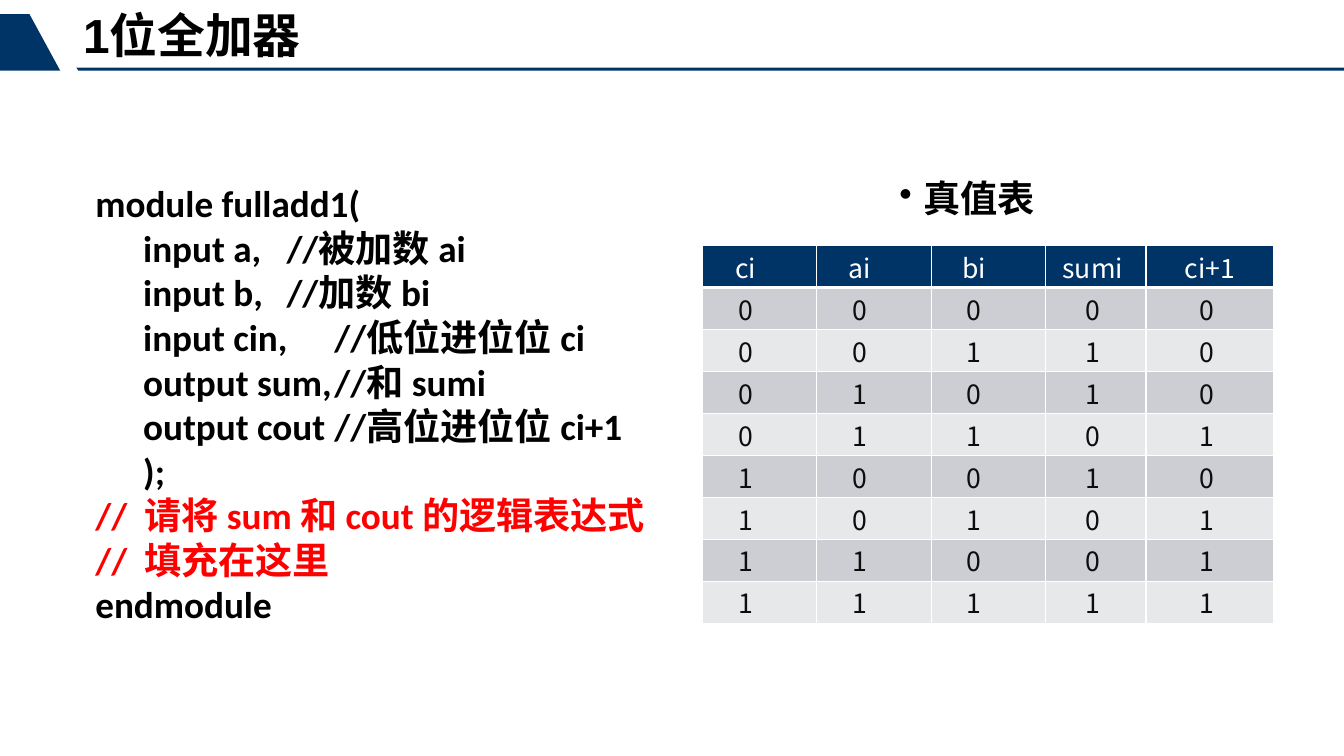
import itertools
from collections import namedtuple

import pptx
import pptx.util
import pptx.dml.color
import pptx.enum.text
import pptx.oxml
import pptx.oxml.ns

NAVY, WHITE, BLACK, RED = "003366", "FFFFFF", "000000", "FF0000"
BANDS = ("CCCED3", "E7E8EA")
CELL_INK = "0D0D0D"
ALIGN = pptx.enum.text.PP_ALIGN

Box = namedtuple("Box", "x y w h")


def part(box, x, y, w, h):
    """Part of a box, given in percent of that box."""
    return Box(round(box.x + box.w * x / 100), round(box.y + box.h * y / 100),
               round(box.w * w / 100), round(box.h * h / 100))


def color(hex_code):
    return pptx.dml.color.RGBColor.from_string(hex_code)


def write(paragraph, text, font="Arial", size=28, ink=BLACK, bold=True,
          align=ALIGN.LEFT, spacing=None, before=None):
    run = paragraph.add_run()
    run.text = text
    run.font.name, run.font.size = font, pptx.util.Pt(size)
    run.font.bold, run.font.color.rgb = bold, color(ink)
    paragraph.alignment = align
    if spacing is not None:
        paragraph.line_spacing = spacing
    if before is not None:
        paragraph.space_before = pptx.util.Pt(before)


def text_frame(slide, box):
    frame = slide.shapes.add_textbox(*box).text_frame
    frame.word_wrap = True
    return frame


def outline(slide, box, corners):
    """Filled polygon with corners in percent of the box."""
    points = [part(box, x, y, 0, 0)[:2] for x, y in corners]
    builder = slide.shapes.build_freeform(*points[0], scale=1.0)
    builder.add_line_segments(points[1:], close=True)
    shape = builder.convert_to_shape()
    shape.shadow.inherit = False
    shape.fill.solid()
    shape.fill.fore_color.rgb = color(NAVY)
    shape.line.fill.background()


def set_indent(paragraph, left, first=0, right=0):
    properties = paragraph._p.get_or_add_pPr()
    for key, inches in (("marL", left), ("indent", first), ("marR", right)):
        properties.set(key, str(pptx.util.Inches(inches)))
    return properties


def add_border(cell, side, points):
    cell._tc.get_or_add_tcPr().append(pptx.oxml.parse_xml(
        f'<a:ln{side} {pptx.oxml.ns.nsdecls("a")} w="{pptx.util.Pt(points)}">'
        f'<a:solidFill><a:srgbClr val="{WHITE}"/></a:solidFill></a:ln{side}>'))


def header(slide, box, title):
    # Rule and slanted tab
    outline(slide, box, [(5.69, 50.4), (100, 50.4), (100, 52.8), (5.83, 52.8)])
    outline(slide, box, [(2.2, 5.6), (4.48, 52.8), (0, 52.8), (0, 5.6)])
    # Title
    frame = text_frame(slide, part(box, 5.48, 0, 64, 100))
    write(frame.paragraphs[0], title, size=36, spacing=0.9)


def code_listing(slide, box, lines):
    frame = text_frame(slide, box)
    for number, line in enumerate(lines):
        paragraph = frame.paragraphs[0] if number == 0 else frame.add_paragraph()
        write(paragraph, line, font="Calibri", spacing=pptx.util.Pt(33.6),
              ink=RED if line.startswith("//") else BLACK)


def truth_table(slide, box, caption, rows):
    # Caption with bullet
    paragraph = text_frame(slide, part(box, 29.2, 0, 70.8, 15.8)).paragraphs[0]
    write(paragraph, caption, spacing=0.9)
    set_indent(paragraph, 0.25, -0.25).append(pptx.oxml.parse_xml(
        f'<a:buChar {pptx.oxml.ns.nsdecls("a")} char="•"/>'))

    # Grid
    area = part(box, 0, 15.6, 89.1, 84.4)
    table = slide.shapes.add_table(len(rows), len(rows[0]), *area).table
    column_shares = (20, 20, 20, 17.6, 22.4)
    margins = [(0.07, 0.3)] * 3 + [(0.16, 0.16), (0.38, 0.38)]
    for column, share in zip(table.columns, column_shares):
        column.width = round(area.w * share / 100)
    for row in table.rows:
        row.height = round(area.h / len(rows))

    # Cells
    for r, values in enumerate(rows):
        for c, value in enumerate(values):
            cell = table.cell(r, c)
            cell.margin_left = cell.margin_right = 0
            cell.margin_top = cell.margin_bottom = 0
            cell.vertical_anchor = pptx.enum.text.MSO_ANCHOR.MIDDLE
            for side in "LRTB":
                under_head = (r, side) in ((0, "B"), (1, "T"))
                add_border(cell, side, 3 if under_head else 1)
            cell.fill.solid()
            cell.fill.fore_color.rgb = color(BANDS[(r - 1) % 2] if r else NAVY)
            paragraph = cell.text_frame.paragraphs[0]
            write(paragraph, f"{value} ", font="Noto Sans CJK SC", size=20,
                  ink=CELL_INK if r else WHITE, bold=False,
                  align=ALIGN.CENTER, before=1.2)
            left, right = margins[c]
            set_indent(paragraph, left, right=right)


CODE = [
    "module fulladd1(",
    "\tinput a,\t//被加数 ai",
    "\tinput b,\t//加数 bi",
    "\tinput cin,\t//低位进位位 ci",
    "\toutput sum,\t//和 sumi",
    "\toutput cout\t//高位进位位 ci+1",
    "\t);",
    "//  请将 sum 和 cout 的逻辑表达式",
    "//  填充在这里",
    "endmodule",
]
# Full adder: sum is the parity, carry is the majority
TRUTH = [("ci", "ai", "bi", "sumi", "ci+1")] + [
    (*bits, sum(bits) % 2, sum(bits) // 2)
    for bits in itertools.product((0, 1), repeat=3)]

deck = pptx.Presentation()
deck.slide_width = pptx.util.Inches(14.06)
deck.slide_height = pptx.util.Inches(7.91)
adder_slide = deck.slides.add_slide(deck.slide_layouts[6])
page = Box(0, 0, deck.slide_width, deck.slide_height)

code_listing(adder_slide, part(page, 6.4, 23.26, 58.25, 56.76), CODE)
header(adder_slide, part(page, 0, 1, 100, 15.8), "1位全加器")
truth_table(adder_slide, part(page, 52.28, 23.26, 47.72, 59.2), "真值表", TRUTH)

deck.save("out.pptx")
